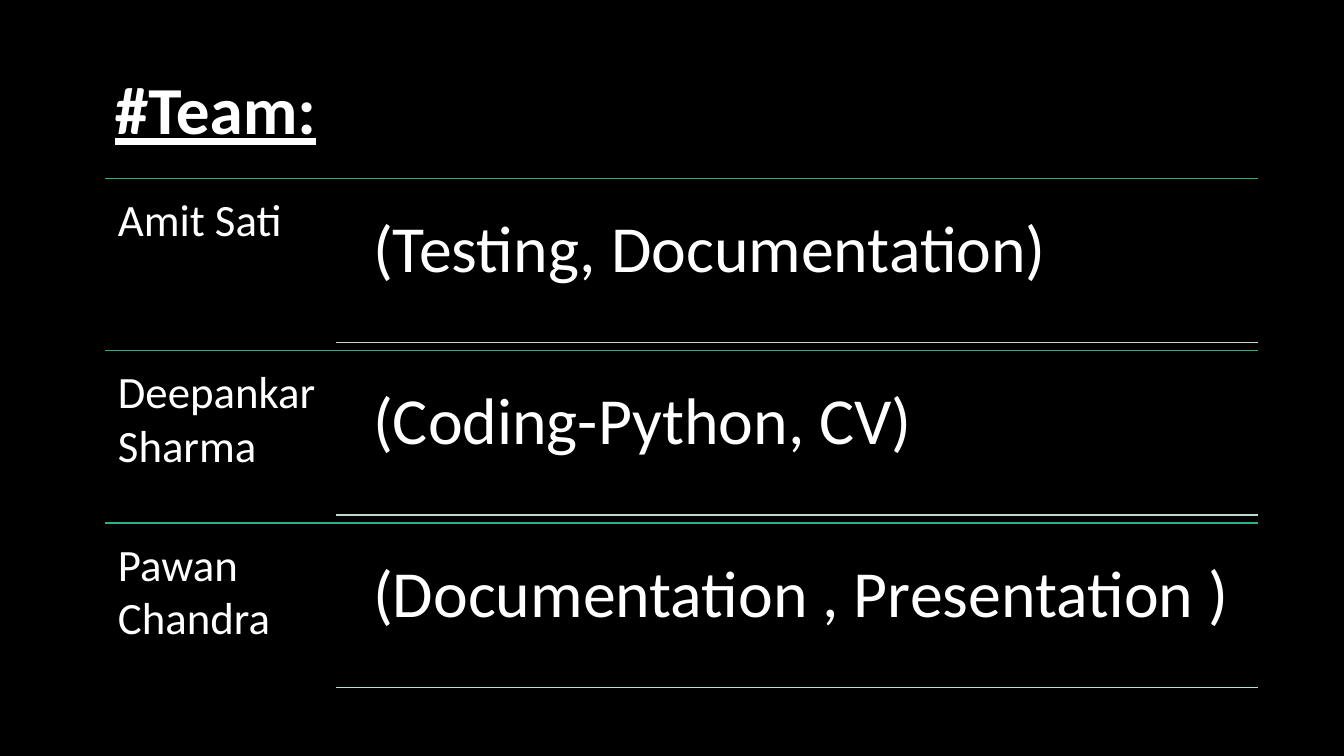
from dataclasses import dataclass

from lxml import etree
from pptx import Presentation
from pptx.dml.color import RGBColor
from pptx.enum.shapes import MSO_CONNECTOR
from pptx.enum.text import MSO_ANCHOR, MSO_AUTO_SIZE, PP_ALIGN
from pptx.oxml.ns import qn
from pptx.util import Inches, Pt

TITLE = "#Team:"
TEAM = [
    ("Amit Sati", "(Testing, Documentation)"),
    ("Deepankar Sharma", "(Coding-Python, CV)"),
    ("Pawan Chandra", "(Documentation , Presentation )"),
]

STRAIGHT = MSO_CONNECTOR.STRAIGHT
TOP, MIDDLE = MSO_ANCHOR.TOP, MSO_ANCHOR.MIDDLE
LEFT_ALIGN = PP_ALIGN.LEFT
NO_AUTOFIT = MSO_AUTO_SIZE.NONE


@dataclass(frozen=True)
class Theme:
    font: str = "Calibri"
    background: RGBColor = RGBColor(0x00, 0x00, 0x00)
    text: RGBColor = RGBColor(0xFF, 0xFF, 0xFF)
    row_line: RGBColor = RGBColor(0x29, 0xAF, 0x8C)
    role_line: RGBColor = RGBColor(0xBE, 0xDC, 0xD0)
    title_size: int = 48
    name_size: int = 32
    role_size: int = 47
    line_width: int = 1


THEME = Theme()
SLIDE_WIDTH, SLIDE_HEIGHT = 13.33, 7.5
LEFT, RIGHT = 1.04, 12.48
FIRST_ROW, ROW_HEIGHT = 1.77, 1.71
NAME_WIDTH = (RIGHT - LEFT) / 5
ROLE_LINE_LEFT = LEFT + NAME_WIDTH
ROLE_LEFT = 3.5
ROLE_GAP = 0.08
ROLE_HEIGHT = 1.55
NAME_INSET, ROLE_INSET = 0.13, 0.2


def format_paragraph(paragraph, size):
    paragraph.alignment = LEFT_ALIGN
    font = paragraph.font
    font.name = THEME.font
    font.size = Pt(size)
    font.color.rgb = THEME.text


def add_title(slide):
    title = slide.shapes.title
    title.left, title.top = Inches(LEFT), Inches(0.16)
    title.width, title.height = Inches(8.11), Inches(1.92)
    frame = title.text_frame
    frame.text = TITLE
    frame.vertical_anchor = MIDDLE
    paragraph = frame.paragraphs[0]
    format_paragraph(paragraph, THEME.title_size)
    paragraph.line_spacing = 0.9
    paragraph.font.bold = True
    paragraph.font.underline = True


def add_label(slide, text, left, top, width, height, inset, size):
    label = slide.shapes.add_textbox(
        Inches(left), Inches(top), Inches(width), Inches(height)
    )
    frame = label.text_frame
    frame.word_wrap = True
    frame.auto_size = NO_AUTOFIT
    frame.vertical_anchor = TOP
    frame.margin_left = frame.margin_right = Inches(inset)
    frame.margin_top = frame.margin_bottom = Inches(inset)
    frame.text = text
    format_paragraph(frame.paragraphs[0], size)


def add_rule(slide, left, top, color):
    rule = slide.shapes.add_connector(
        STRAIGHT, Inches(left), Inches(top), Inches(RIGHT), Inches(top)
    )
    rule.line.color.rgb = color
    rule.line.width = Pt(THEME.line_width)
    etree.SubElement(rule._element.spPr, qn("a:effectLst"))


def add_member(slide, row, name, role):
    top = FIRST_ROW + row * ROW_HEIGHT
    role_top = top + ROLE_GAP
    add_rule(slide, LEFT, top, THEME.row_line)
    add_label(slide, name, LEFT, top, NAME_WIDTH, ROW_HEIGHT,
              NAME_INSET, THEME.name_size)
    add_label(slide, role, ROLE_LEFT, role_top, RIGHT - ROLE_LEFT, ROLE_HEIGHT,
              ROLE_INSET, THEME.role_size)
    add_rule(slide, ROLE_LINE_LEFT, role_top + ROLE_HEIGHT, THEME.role_line)


def main():
    presentation = Presentation()
    presentation.slide_width = Inches(SLIDE_WIDTH)
    presentation.slide_height = Inches(SLIDE_HEIGHT)
    title_only = presentation.slide_layouts.get_by_name("Title Only")
    slide = presentation.slides.add_slide(title_only)
    background = slide.background.fill
    background.solid()
    background.fore_color.rgb = THEME.background
    add_title(slide)
    for row, (name, role) in enumerate(TEAM):
        add_member(slide, row, name, role)
    presentation.save("out.pptx")


if __name__ == "__main__":
    main()
